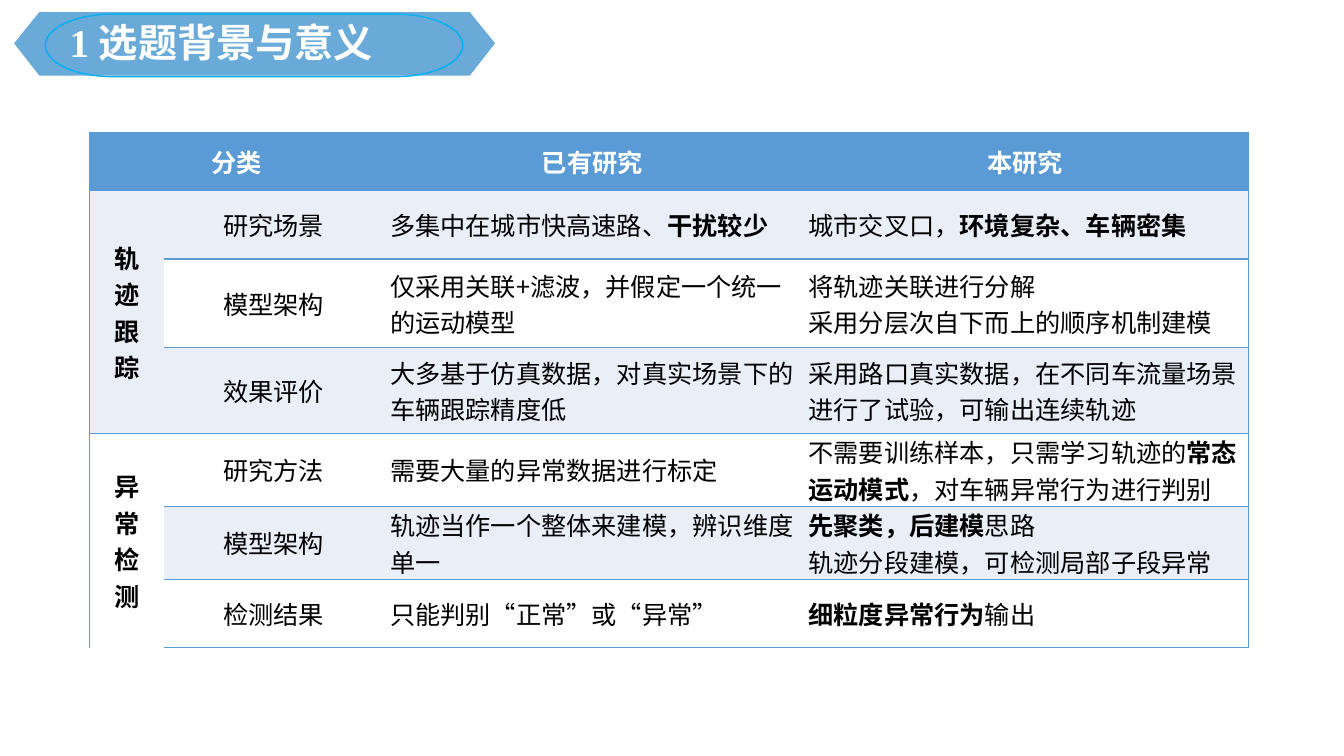
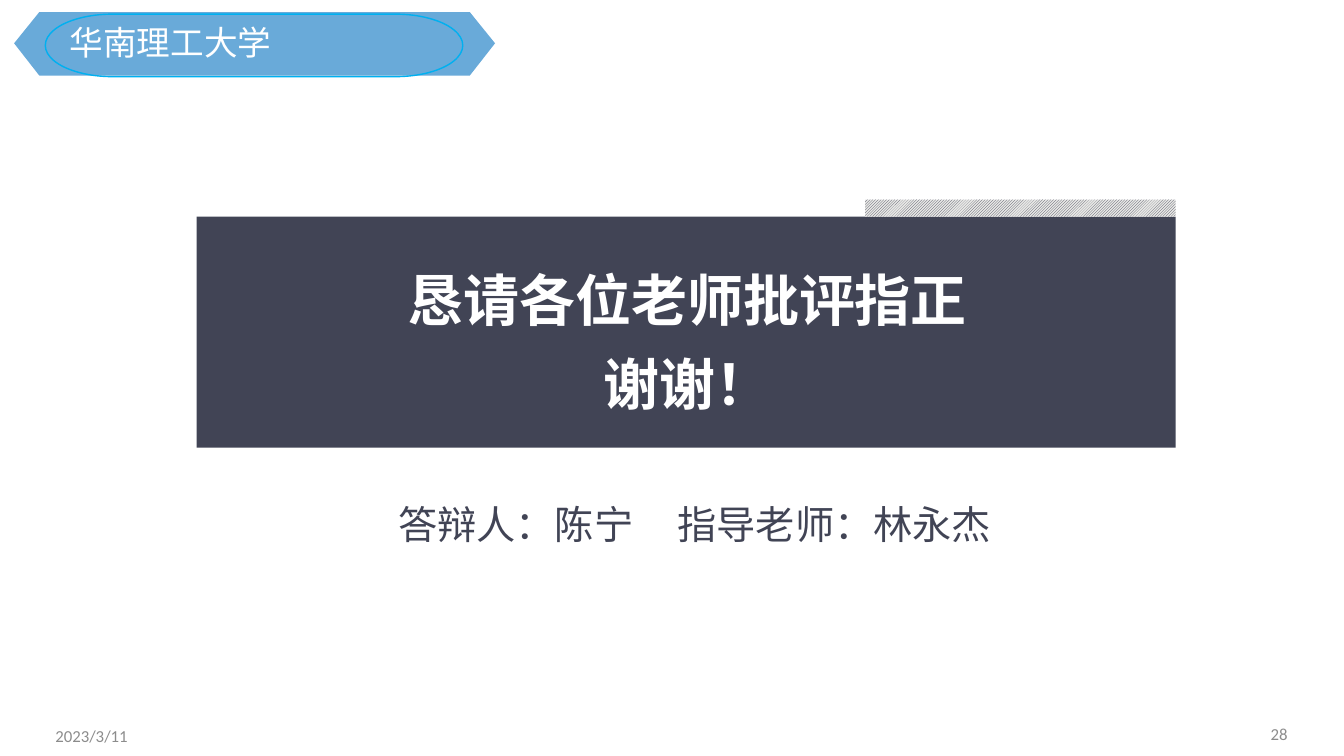
from lxml import etree
from pptx import Presentation
from pptx.dml.color import RGBColor
from pptx.enum import dml, shapes, text
from pptx.oxml.ns import qn
from pptx.util import Inches, Pt

SANS = "Noto Sans CJK SC"
SERIF = "Times New Roman"
BLUE, PALE, WHITE, BLACK = "5B9BD5", "EAEFF7", "FFFFFF", "000000"
BANNER, OUTLINE, SLATE, GREY = "0070C0", "00B0F0", "414455", "8C8C8C"
LEFT, CENTER, RIGHT = text.PP_ALIGN.LEFT, text.PP_ALIGN.CENTER, text.PP_ALIGN.RIGHT
NO_STYLE = "{2D5ABB26-0587-4C30-8999-92F81FD0307C}"

HEADINGS = ["分类", "", "已有研究", "本研究"]
GROUPS = {
    "轨迹跟踪": [
        ("研究场景", "多集中在城市快高速路、**干扰较少**", "城市交叉口，**环境复杂、车辆密集**"),
        ("模型架构", "仅采用关联+滤波，并假定一个统一的运动模型",
         "将轨迹关联进行分解\n采用分层次自下而上的顺序机制建模"),
        ("效果评价", "大多基于仿真数据，对真实场景下的车辆跟踪精度低",
         "采用路口真实数据，在不同车流量场景进行了试验，可输出连续轨迹"),
    ],
    "异常检测": [
        ("研究方法", "需要大量的异常数据进行标定",
         "不需要训练样本，只需学习轨迹的**常态运动模式**，对车辆异常行为进行判别"),
        ("模型架构", "轨迹当作一个整体来建模，辨识维度单一",
         "**先聚类，后建模**思路\n轨迹分段建模，可检测局部子段异常"),
        ("检测结果", "只能判别“正常”或“异常”", "**细粒度异常行为**输出"),
    ],
}
COLUMN_WIDTHS = [0.74, 2.17, 4.15, 4.43]
ROW_HEIGHTS = [0.57, 0.68, 0.88, 0.85, 0.71, 0.68, 0.68]


def color(hex_code):
    """Turn a hex string into a colour."""
    return RGBColor.from_string(hex_code)


def write(frame, content, size=18, font=SANS, ink=BLACK, bold=False, align=LEFT,
          spacing=1.0, tab=None):
    """Fill a text frame line by line; double asterisks switch bold on and off."""
    for index, line in enumerate(content.split("\n")):
        paragraph = frame.add_paragraph() if index else frame.paragraphs[0]
        if tab:
            tabs = etree.SubElement(paragraph._p.get_or_add_pPr(), qn("a:tabLst"))
            etree.SubElement(tabs, qn("a:tab"), pos=str(Inches(tab)), algn="l")
        paragraph.alignment = align
        paragraph.line_spacing = spacing
        paragraph.space_before = Pt(0)
        for part, words in enumerate(line.split("**")):
            if words:
                run = paragraph.add_run()
                run.text = words
                run.font.size = Pt(size)
                run.font.bold = bold or part % 2 == 1
                run.font.color.rgb = color(ink)
                run.font.name = font
                etree.SubElement(run._r.get_or_add_rPr(), qn("a:ea"), typeface=SANS)


def set_frame(frame, side, top):
    """Centre a frame vertically, wrap it and set its margins."""
    frame.word_wrap = True
    frame.auto_size = text.MSO_AUTO_SIZE.NONE
    frame.vertical_anchor = text.MSO_ANCHOR.MIDDLE
    frame.margin_left = frame.margin_right = Inches(side)
    frame.margin_top = frame.margin_bottom = Inches(top)


def add_text(slide, box, content, side=0.1, top=0.05, **style):
    """Add a text box with formatted text."""
    frame = slide.shapes.add_textbox(*map(Inches, box)).text_frame
    set_frame(frame, side, top)
    write(frame, content, **style)


def add_block(slide, box, fill=None, kind=shapes.MSO_SHAPE.RECTANGLE):
    """Add a preset shape without an outline."""
    block = slide.shapes.add_shape(kind, *map(Inches, box))
    block.shadow.inherit = False
    block.line.fill.background()
    if fill:
        block.fill.solid()
        block.fill.fore_color.rgb = color(fill)
    else:
        block.fill.background()
    return block


def add_banner(slide):
    """Draw the heading banner and hand it to the layout of the slide."""
    layout = slide.slide_layout
    for placeholder in list(layout.placeholders):
        if placeholder.placeholder_format.idx:
            placeholder._element.getparent().remove(placeholder._element)
    corners = [(0.39, 0.12), (4.66, 0.12), (4.91, 0.43), (4.66, 0.75), (0.39, 0.75), (0.14, 0.43)]
    points = [(Inches(x), Inches(y)) for x, y in corners]
    builder = slide.shapes.build_freeform(*points[0])
    builder.add_line_segments(points[1:])
    ribbon = builder.convert_to_shape()
    ribbon.shadow.inherit = False
    ribbon.fill.solid()
    ribbon.fill.fore_color.rgb = color(BANNER)
    tint = ribbon._element.spPr.find(".//" + qn("a:srgbClr"))
    etree.SubElement(tint, qn("a:alpha"), val="59000")
    ribbon.line.fill.background()
    ring = add_block(slide, (0.45, 0.14, 4.14, 0.62), kind=shapes.MSO_SHAPE.FLOWCHART_TERMINATOR)
    ring.line.color.rgb = color(OUTLINE)
    ring.line.width = Pt(1)
    for part in (ribbon, ring):
        layout.shapes._spTree.append(part._element)


def set_title(slide, content, **style):
    """Place and format the title in the banner."""
    title = slide.shapes.title
    title.left, title.top, title.width, title.height = map(Inches, (0.62, 0.18, 4.18, 0.52))
    set_frame(title.text_frame, 0.07, 0.04)
    write(title.text_frame, content, font=SERIF, ink=WHITE, spacing=0.9, **style)


def add_borders(cell, edges):
    """Draw the given edges of a cell, named by the letters L, R, T and B."""
    for edge in edges:
        line = etree.SubElement(cell._tc.get_or_add_tcPr(), qn("a:ln" + edge), w=str(Pt(1)))
        fill = etree.SubElement(line, qn("a:solidFill"))
        etree.SubElement(fill, qn("a:srgbClr"), val=BLUE)


def format_cell(cell, content, fill, edges, **style):
    """Border, fill and write one table cell."""
    add_borders(cell, edges)
    cell.fill.solid()
    cell.fill.fore_color.rgb = color(fill)
    cell.vertical_anchor = text.MSO_ANCHOR.MIDDLE
    cell.margin_left = cell.margin_right = Inches(0.07)
    cell.margin_top = cell.margin_bottom = 0
    write(cell.text_frame, content, **style)


def add_comparison(slide):
    """Add the table that compares earlier research with this one."""
    rows = [HEADINGS]
    for group, topics in GROUPS.items():
        for index, topic in enumerate(topics):
            rows.append(["" if index else "\n".join(group), *topic])
    size = Inches(sum(COLUMN_WIDTHS)), Inches(sum(ROW_HEIGHTS))
    table = slide.shapes.add_table(len(rows), len(HEADINGS), Inches(0.89), Inches(1.32), *size).table
    table._tbl.tblPr.find(qn("a:tableStyleId")).text = NO_STYLE
    for column, width in zip(table.columns, COLUMN_WIDTHS):
        column.width = Inches(width)
    for row, height in zip(table.rows, ROW_HEIGHTS):
        row.height = Inches(height)
    last_row, last_column = len(rows) - 1, len(HEADINGS) - 1
    table.cell(0, 0).merge(table.cell(0, 1))
    for start in (1, 4):
        table.cell(start, 0).merge(table.cell(start + 2, 0))
    for r, contents in enumerate(rows):
        for c, content in enumerate(contents):
            edges = ("L" if c == 0 else "") + ("R" if c == last_column else "")
            edges += "T" if c or r in (0, 1, 4) else ""
            edges += "B" if c or r in (0, 3, last_row) else ""
            banded = r % 2 == 1 if c else r < 4
            fill = BLUE if r == 0 else PALE if banded else WHITE
            format_cell(table.cell(r, c), content, fill, edges,
                        ink=BLACK if r else WHITE, bold=r == 0 or c == 0,
                        align=CENTER if r == 0 or c < 2 else LEFT)


def add_closing(slide):
    """Add the thanks panel, the names and the footer."""
    add_text(slide, (0.45, 7.1, 3, 0.4), "2023/3/11", size=12, font="Calibri", ink=GREY)
    add_text(slide, (9.87, 7.08, 3, 0.4), "28", size=12, font="Calibri", ink=GREY, align=RIGHT)
    add_text(slide, (3.89, 4.7, 6.21, 0.76), "答辩人：陈宁\t指导老师：林永杰", side=0.06, top=0.03,
             size=28, ink=SLATE, spacing=1.5, tab=2.77)
    add_block(slide, (1.95, 2.15, 9.71, 2.29), SLATE)
    hatch = add_block(slide, (8.58, 1.98, 3.08, 0.17))
    hatch.fill.patterned()
    hatch.fill.pattern = dml.MSO_PATTERN.LIGHT_UPWARD_DIAGONAL
    hatch.fill.fore_color.rgb = color(SLATE)
    hatch.fill.back_color.rgb = color("E8E8E6")
    add_text(slide, (3.67, 2.46, 6.29, 1.68), "恳请各位老师批评指正\n谢谢！", side=0.07, top=0.04,
             size=40, ink=WHITE, bold=True, align=CENTER, spacing=1.25)


def main():
    """Build and save both slides."""
    deck = Presentation()
    deck.slide_width, deck.slide_height = Inches(13.33), Inches(7.5)
    background, closing = [deck.slides.add_slide(deck.slide_layouts[5]) for _ in range(2)]
    add_banner(background)
    set_title(background, "1 选题背景与意义", size=28, bold=True)
    add_comparison(background)
    set_title(closing, "华南理工大学", size=24)
    add_closing(closing)
    deck.save("out.pptx")


if __name__ == "__main__":
    main()
